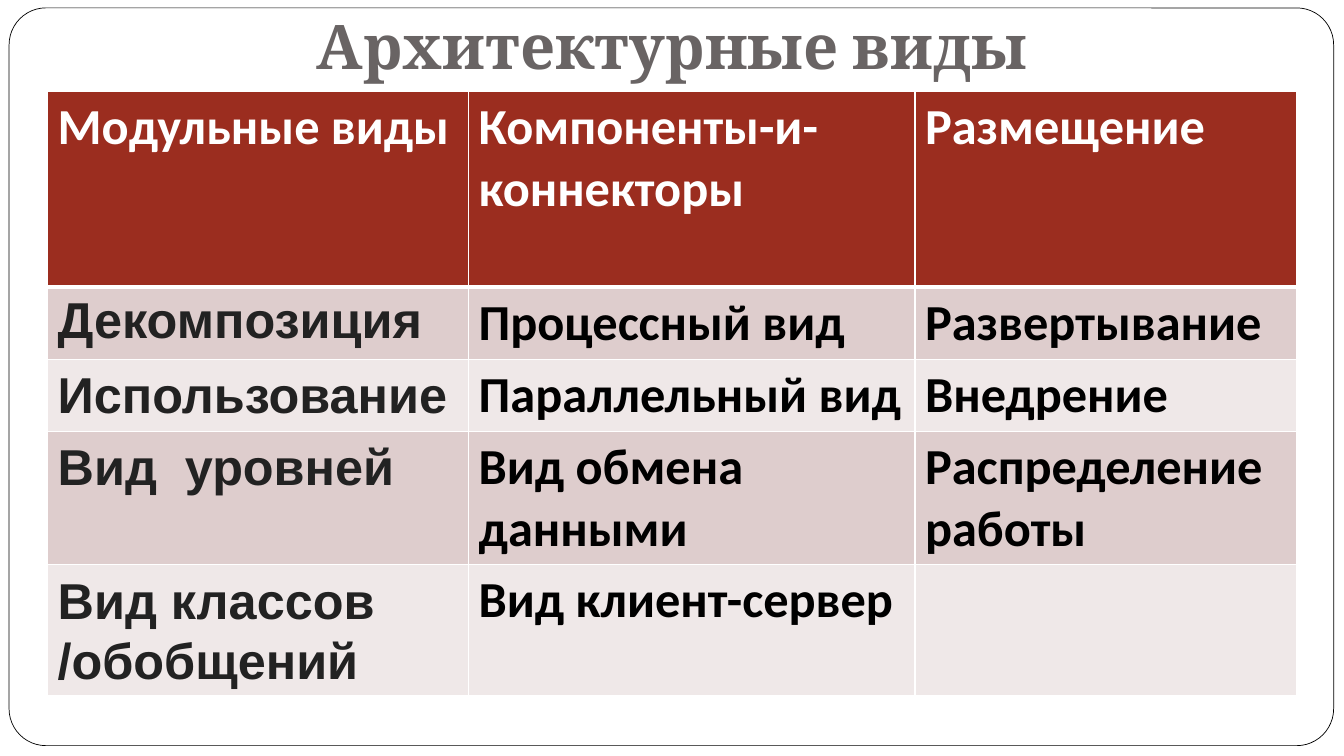
import pptx
import pptx.util
import pptx.dml.color
import pptx.enum.shapes
import pptx.enum.text
import pptx.oxml
import pptx.oxml.ns
from dataclasses import dataclass

Cm, Pt = pptx.util.Cm, pptx.util.Pt
Align, Anchor = pptx.enum.text.PP_ALIGN, pptx.enum.text.MSO_ANCHOR


@dataclass
class Theme:
    white: str = "FFFFFF"
    black: str = "000000"
    title: str = "696464"
    head: str = "9B2D1F"
    first: str = "222222"
    bands: tuple = ("DECDCD", "EFE8E8")
    serif: str = "Cambria"
    sans: str = "Calibri"
    plain: str = "Arial"
    big: int = 44
    text: int = 36
    thin: int = 1
    thick: int = 3


def rgb(code):
    return pptx.dml.color.RGBColor.from_string(code)


def put(item, form):
    for name, value in form.items():
        setattr(item, name, value)


class Deck:
    def __init__(self, theme):
        self.theme = theme
        self.file = pptx.Presentation()
        put(self.file, {"slide_width": Cm(33.87), "slide_height": Cm(19.05)})
        self.slide = self.file.slides.add_slide(self.file.slide_layouts[5])

    def label(self, para, text, font, size, color):
        run = para.add_run()
        run.text = text
        put(run.font, {"name": font, "size": Pt(size), "bold": True})
        run.font.color.rgb = rgb(color)

    def frame(self, box):
        kind = pptx.enum.shapes.MSO_SHAPE.ROUNDED_RECTANGLE
        shape = self.slide.shapes.add_shape(kind, *map(Cm, box))
        shape.adjustments[0] = 0.05
        shape.shadow.inherit = False
        shape.fill.solid()
        shape.fill.fore_color.rgb = rgb(self.theme.white)
        shape.line.color.rgb = rgb(self.theme.black)
        shape.line.width = Pt(0.5)
        # Send behind the title
        self.slide.shapes._spTree.insert(2, shape._element)

    def title(self, text, box):
        shape = self.slide.shapes.title
        put(shape, dict(zip(("left", "top", "width", "height"), map(Cm, box))))
        put(shape.text_frame, {
            "vertical_anchor": Anchor.BOTTOM, "word_wrap": True,
            "auto_size": pptx.enum.text.MSO_AUTO_SIZE.NONE,
            "margin_left": Cm(0.25), "margin_right": Cm(0.25),
            "margin_top": Cm(0.13), "margin_bottom": Cm(0.25)})
        para = shape.text_frame.paragraphs[0]
        para.alignment = Align.CENTER
        self.label(para, text, self.theme.serif, self.theme.big, self.theme.title)

    def edges(self, cell, row):
        look = self.theme
        props = cell._tc.get_or_add_tcPr()
        thick = {"T": row == 1, "B": row == 0}
        for spot, side in enumerate("LRTB"):
            size = look.thick if thick.get(side) else look.thin
            props.insert(spot, pptx.oxml.parse_xml(
                f'<a:ln{side} {pptx.oxml.ns.nsdecls("a")} w="{Pt(size)}"><a:solidFill>'
                f'<a:srgbClr val="{look.white}"/></a:solidFill></a:ln{side}>'))

    def cell(self, cell, text, row, col):
        look = self.theme
        cell.fill.solid()
        cell.fill.fore_color.rgb = rgb(look.bands[(row - 1) % 2] if row else look.head)
        self.edges(cell, row)
        para = cell.text_frame.paragraphs[0]
        if not text:
            return
        if row == 0:
            font, color = look.sans, look.white
        elif col == 0:
            font, color = look.plain, look.first
        else:
            font, color = look.sans, look.black
        if col == 0 and row > 1:
            put(para, {"line_spacing": 1.07, "space_after": Pt(8)})
        self.label(para, text, font, look.text, color)

    def table(self, rows, left, top, wide, high):
        box = map(Cm, (left, top, sum(wide), sum(high)))
        grid = self.slide.shapes.add_table(len(rows), len(wide), *box).table
        for col, size in zip(grid.columns, wide):
            col.width = Cm(size)
        for line, size in zip(grid.rows, high):
            line.height = Cm(size)
        for row, texts in enumerate(rows):
            for col, text in enumerate(texts):
                self.cell(grid.cell(row, col), text, row, col)


def main():
    deck = Deck(Theme())

    # Frame and title
    deck.frame((0.23, 0.2, 33.38, 18.59))
    deck.title("Архитектурные виды", (1.83, 0, 30.23, 2.31))

    # Table of views
    rows = (
        ("Модульные виды", "Компоненты-и-коннекторы", "Размещение"),
        ("Декомпозиция", "Процессный вид", "Развертывание"),
        ("Использование", "Параллельный вид", "Внедрение"),
        ("Вид  уровней", "Вид обмена данными", "Распределение работы"),
        ("Вид классов /обобщений", "Вид клиент-сервер", ""),
    )
    deck.table(rows, 1.2, 2.31, wide=(10.61, 11.25, 9.62),
               high=(4.93, 1.8, 1.82, 3.36, 3.28))

    deck.file.save("out.pptx")


if __name__ == "__main__":
    main()
